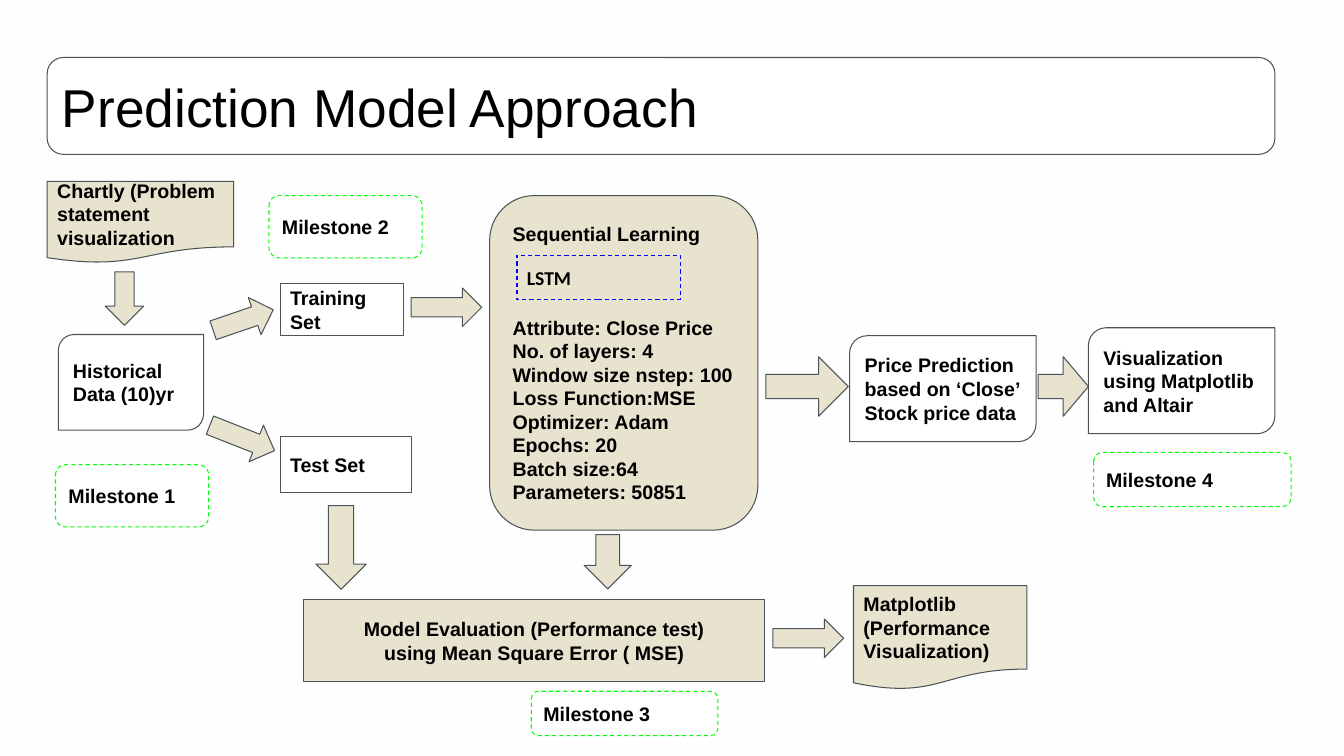
from pptx import Presentation
from pptx.dml.color import RGBColor
from pptx.enum.dml import MSO_LINE
from pptx.enum.shapes import MSO_SHAPE
from pptx.enum.text import MSO_ANCHOR, PP_ALIGN
from pptx.util import Cm, Pt

RECT = MSO_SHAPE.RECTANGLE
ROUNDED = MSO_SHAPE.ROUNDED_RECTANGLE
DIAGONAL = MSO_SHAPE.ROUND_2_DIAG_RECTANGLE
DOCUMENT = MSO_SHAPE.FLOWCHART_DOCUMENT
ARROW = MSO_SHAPE.RIGHT_ARROW
DASH = MSO_LINE.DASH
MIDDLE = MSO_ANCHOR.MIDDLE
LEFT, CENTER = PP_ALIGN.LEFT, PP_ALIGN.CENTER

BACKGROUND = RGBColor(0xFE, 0xFE, 0xFE)
WHITE = RGBColor(0xFF, 0xFF, 0xFF)
BLACK = RGBColor(0x00, 0x00, 0x00)
SAND = RGBColor(0xE8, 0xE3, 0xCE)
SLATE = RGBColor(0x4A, 0x53, 0x56)
GREEN = RGBColor(0x00, 0xFF, 0x00)
BLUE = RGBColor(0x00, 0x00, 0xFF)


class FlowSlide:
    font = "Arial"
    size = 14
    line_width = 0.75
    inset = 0.25

    def __init__(self, prs):
        self.slide = prs.slides.add_slide(prs.slide_layouts[6])
        fill = self.slide.background.fill
        fill.solid()
        fill.fore_color.rgb = BACKGROUND

    def shape(self, kind, box, fill=WHITE, line=SLATE, dash=None):
        sp = self.slide.shapes.add_shape(kind, *(Cm(v) for v in box))
        sp.shadow.inherit = False
        if fill is None:
            sp.fill.background()
        else:
            sp.fill.solid()
            sp.fill.fore_color.rgb = fill
        sp.line.color.rgb = line
        sp.line.width = Pt(self.line_width)
        if dash is not None:
            sp.line.dash_style = dash
        return sp

    def box(self, kind, box, lines, size=None, font=None, bold=True, align=LEFT, **style):
        sp = self.shape(kind, box, **style)
        tf = sp.text_frame
        tf.word_wrap = True
        tf.vertical_anchor = MIDDLE
        tf.margin_left = tf.margin_right = Cm(self.inset)
        tf.margin_top = tf.margin_bottom = Cm(self.inset)
        for i, text in enumerate(lines):
            p = tf.add_paragraph() if i else tf.paragraphs[0]
            p.alignment = align
            r = p.add_run()
            r.text = text
            r.font.name = font or self.font
            r.font.size = Pt(size or self.size)
            r.font.bold = bold
            r.font.color.rgb = BLACK
        return sp

    def arrow(self, box, rotation=0, shaft=0.5):
        sp = self.shape(ARROW, box, fill=SAND)
        sp.adjustments[0] = shaft
        sp.rotation = rotation

    def milestone(self, number, box):
        self.box(ROUNDED, box, [f"Milestone {number}"], line=GREEN, dash=DASH)


def main():
    prs = Presentation()
    prs.slide_width, prs.slide_height = Cm(33.87), Cm(19.05)
    s = FlowSlide(prs)

    s.box(ROUNDED, (1.19, 1.45, 30.94, 2.44), ["Prediction Model Approach"],
          size=38, bold=False)

    s.box(DOCUMENT, (1.19, 4.57, 4.7, 2.06),
          ["Chartly (Problem statement visualization"], fill=SAND)
    s.box(DIAGONAL, (1.47, 8.43, 3.66, 2.41), ["Historical Data (10)yr"])
    s.box(RECT, (7.06, 7.14, 3.1, 1.32), ["Training Set"])
    s.box(RECT, (7.06, 11, 3.3, 1.42), ["Test Set"])

    model = s.box(ROUNDED, (12.34, 4.93, 6.76, 8.43), [
        "Sequential Learning",
        "Attribute: Close Price",
        "No. of layers: 4",
        "Window size nstep: 100",
        "Loss Function:MSE",
        "Optimizer: Adam",
        "Epochs: 20",
        "Batch size:64",
        "Parameters: 50851",
    ], fill=SAND)
    model.text_frame.paragraphs[0].space_after = Pt(50)
    s.box(RECT, (13.03, 6.43, 4.11, 1.12), ["LSTM"], font="Calibri",
          fill=None, line=BLUE, dash=DASH)

    s.box(RECT, (7.65, 15.11, 11.63, 2.06),
          ["Model Evaluation (Performance test)", "using Mean Square Error ( MSE)"],
          align=CENTER, fill=SAND)
    s.box(DOCUMENT, (21.51, 14.76, 4.37, 2.62),
          ["Matplotlib (Performance Visualization)"], fill=SAND)
    s.box(DIAGONAL, (21.41, 8.46, 4.7, 2.67),
          ["Price Prediction based on ‘Close’ Stock price data"])
    s.box(DIAGONAL, (27.43, 8.26, 4.7, 2.67),
          ["Visualization using Matplotlib and Altair"])

    for box, rotation in (
        ((2.46, 7.04, 1.35, 0.97), 90),
        ((5.33, 7.57, 1.6, 0.99), 341.2),
        ((5.23, 10.54, 1.75, 0.99), 21.5),
        ((10.36, 7.26, 1.78, 0.97), 0),
        ((7.54, 13.16, 2.11, 1.27), 90),
        ((14.63, 13.56, 1.37, 1.19), 90),
        ((19.48, 15.6, 1.78, 0.97), 0),
    ):
        s.arrow(box, rotation)
    for left, width in ((19.3, 2.08), (26.16, 1.27)):
        s.arrow((left, 8.99, width, 1.5), shaft=0.41)

    for number, box in enumerate((
        (1.4, 11.71, 3.86, 1.57),
        (6.78, 4.93, 3.86, 1.57),
        (13.39, 17.42, 4.7, 1.12),
        (27.56, 11.4, 4.98, 1.37),
    ), 1):
        s.milestone(number, box)

    prs.save("out.pptx")


if __name__ == "__main__":
    main()
